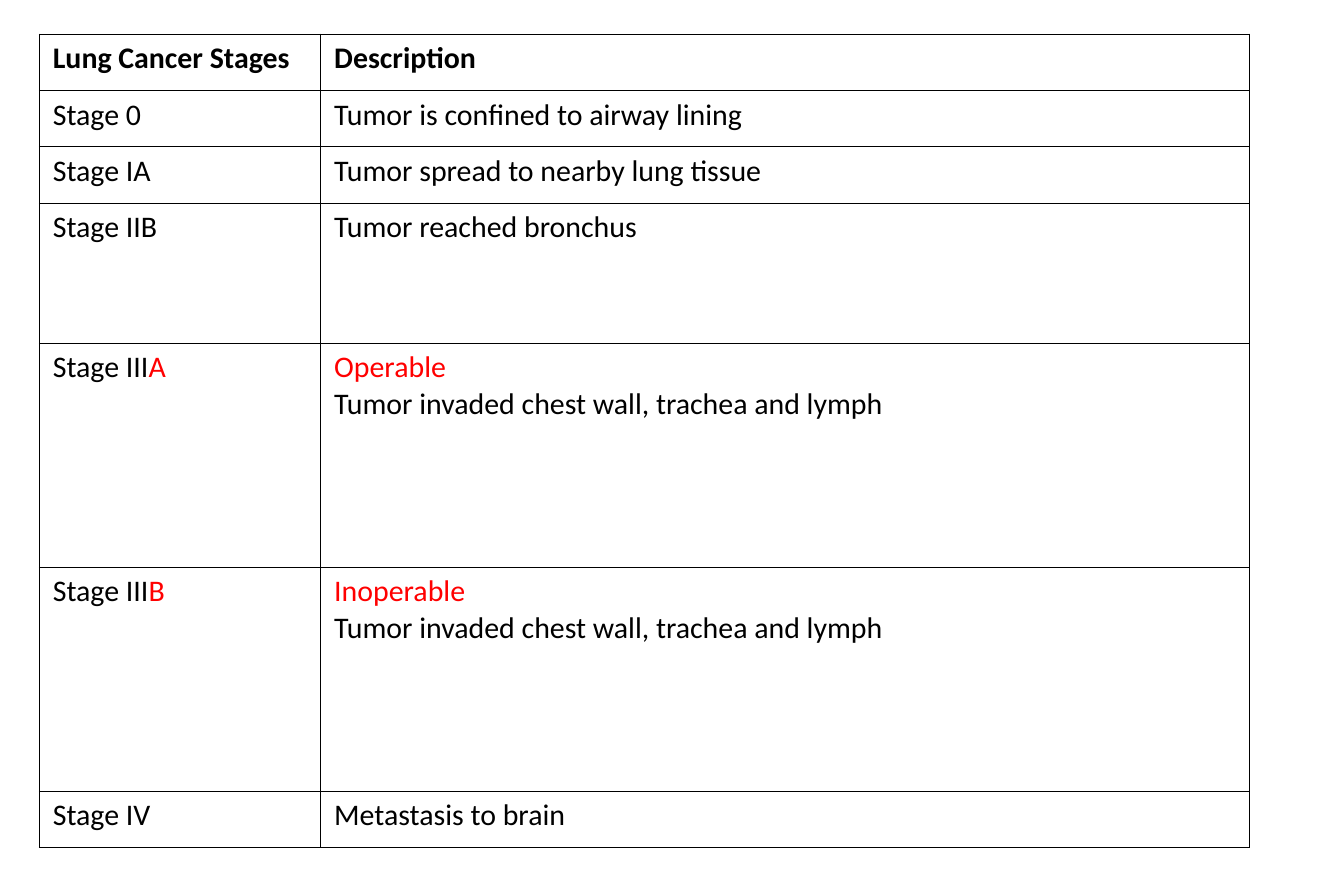
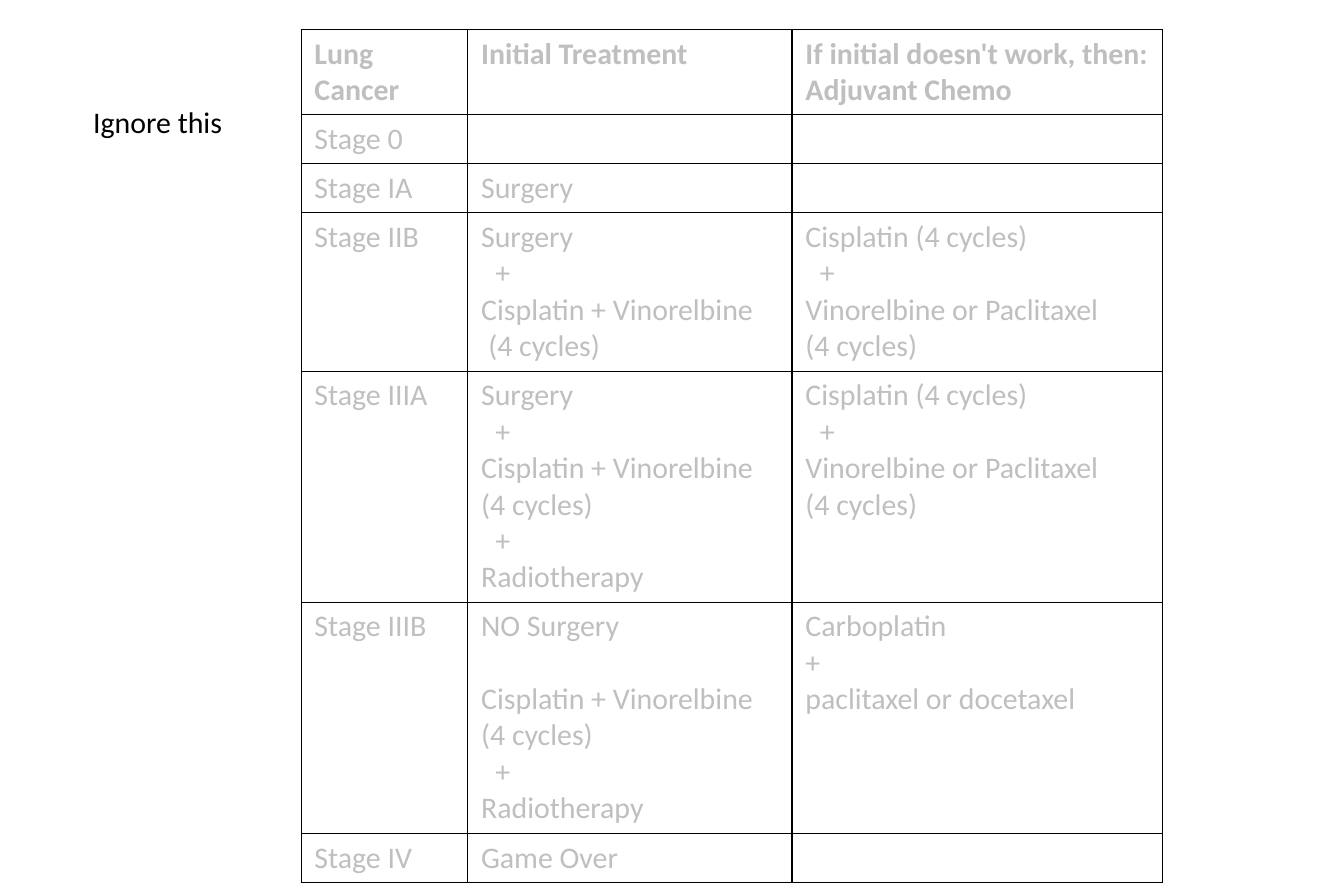
from dataclasses import dataclass

from pptx import Presentation
from pptx.dml.color import RGBColor
from pptx.enum import text
from pptx.oxml import parse_xml
from pptx.oxml.ns import nsdecls
from pptx.util import Inches, Length, Pt

BLACK = RGBColor(0x00, 0x00, 0x00)
RED = RGBColor(0xFF, 0x00, 0x00)
GREY = RGBColor(0xBF, 0xBF, 0xBF)
FONT = "Calibri"
SIZE = Pt(24)
MARGIN_X, MARGIN_Y = Inches(0.15), Inches(0.07)
BORDER = Pt(1)
SPACE = Inches(0.08)
BLANK_LINE = Pt(29)


@dataclass(frozen=True)
class Line:
    """One paragraph; red_tail is a run in red after the words."""
    words: str = ""
    red_tail: str = ""
    indent: Length = Length(0)
    before: Length = Length(0)


Cell = list[Line | str]


@dataclass(frozen=True)
class Grid:
    left: float
    top: float
    widths: list[float]
    heights: list[float]
    color: RGBColor
    rows: list[list[Cell]]


PLUS = Line("+", indent=Length(2 * SPACE))
CYCLES = "(4 cycles)"
CHEMO = "Cisplatin + Vinorelbine"
INVADED = "Tumor invaded chest wall, trachea and lymph"
ADJUVANT: Cell = ["Cisplatin (4 cycles)", PLUS, "Vinorelbine or Paclitaxel", CYCLES]

STAGES = Grid(0.44, 0.38, [3.14, 10.37], [0.63, 0.63, 0.63, 1.56, 2.5, 2.5, 0.63], BLACK, [
    [["Lung Cancer Stages"], ["Description"]],
    [["Stage 0"], ["Tumor is confined to airway lining"]],
    [["Stage IA"], ["Tumor spread to nearby lung tissue"]],
    [["Stage IIB"], ["Tumor reached bronchus"]],
    [[Line("Stage III", "A")], [Line(red_tail="Operable"), INVADED]],
    [[Line("Stage III", "B")], [Line(red_tail="Inoperable"), INVADED]],
    [["Stage IV"], ["Metastasis to brain"]],
])

TREATMENTS = Grid(3.36, 0.33, [1.86, 3.62, 4.14], [0.95, 0.54, 0.54, 1.76, 2.58, 2.58, 0.54], GREY, [
    [["Lung Cancer"], ["Initial Treatment"], ["If initial doesn't work, then:", "Adjuvant Chemo"]],
    [["Stage 0"], [], []],
    [["Stage IA"], ["Surgery"], []],
    [["Stage IIB"], ["Surgery", PLUS, CHEMO, Line(CYCLES, indent=SPACE)], ADJUVANT],
    [["Stage IIIA"], ["Surgery", PLUS, CHEMO, CYCLES, PLUS, "Radiotherapy"], ADJUVANT],
    [["Stage IIIB"],
     ["NO Surgery", Line(CHEMO, before=BLANK_LINE), CYCLES, PLUS, "Radiotherapy"],
     ["Carboplatin", "+", "paclitaxel or docetaxel"]],
    [["Stage IV"], ["Game Over"], []],
])


def style_font(font, color: RGBColor, bold: bool = False) -> None:
    font.name, font.size, font.bold = FONT, SIZE, bold
    font.color.rgb = color


def set_margins(area) -> None:
    area.margin_left = area.margin_right = MARGIN_X
    area.margin_top = area.margin_bottom = MARGIN_Y


def write_lines(frame, lines: Cell, color: RGBColor, bold: bool) -> None:
    for index, entry in enumerate(lines):
        line = Line(entry) if isinstance(entry, str) else entry
        para = frame.paragraphs[0] if index == 0 else frame.add_paragraph()
        if line.indent:
            para._p.get_or_add_pPr().set("marL", str(int(line.indent)))
        if line.before:
            para.space_before = line.before
        style_font(para.font, color, bold)
        if line.words:
            para.add_run().text = line.words
        if line.red_tail:
            span = para.add_run()
            span.text = line.red_tail
            span.font.color.rgb = RED


def outline_cell(cell) -> None:
    """Draw all four borders and leave the cell unfilled."""
    properties = cell._tc.get_or_add_tcPr()
    for side in "LRTB":
        properties.append(parse_xml(
            f'<a:ln{side} {nsdecls("a")} w="{int(BORDER)}"><a:solidFill>'
            f'<a:srgbClr val="{BLACK}"/></a:solidFill></a:ln{side}>'))
    cell.fill.background()


def add_grid(page, grid: Grid) -> None:
    table = page.shapes.add_table(
        len(grid.heights), len(grid.widths), Inches(grid.left), Inches(grid.top),
        Inches(sum(grid.widths)), Inches(sum(grid.heights))).table
    table.first_row = table.horz_banding = False
    for column, width in zip(table.columns, grid.widths):
        column.width = Inches(width)
    for row, height in zip(table.rows, grid.heights):
        row.height = Inches(height)
    for row_index, cells in enumerate(grid.rows):
        for column_index, lines in enumerate(cells):
            cell = table.cell(row_index, column_index)
            set_margins(cell)
            outline_cell(cell)
            write_lines(cell.text_frame, lines, grid.color, bold=row_index == 0)


def add_remark(page, words: str) -> None:
    box = page.shapes.add_textbox(Inches(0.89), Inches(1.09), Inches(1.75), Inches(0.55))
    frame = box.text_frame
    set_margins(frame)
    frame.word_wrap = False
    frame.auto_size = text.MSO_AUTO_SIZE.SHAPE_TO_FIT_TEXT
    write_lines(frame, [words], BLACK, bold=False)


def main() -> None:
    deck = Presentation()
    deck.slide_width, deck.slide_height = Inches(15), Inches(10)
    blank = deck.slide_layouts[6]
    add_grid(deck.slides.add_slide(blank), STAGES)
    treatment_page = deck.slides.add_slide(blank)
    add_grid(treatment_page, TREATMENTS)
    add_remark(treatment_page, "Ignore this")
    deck.save("out.pptx")


if __name__ == "__main__":
    main()
